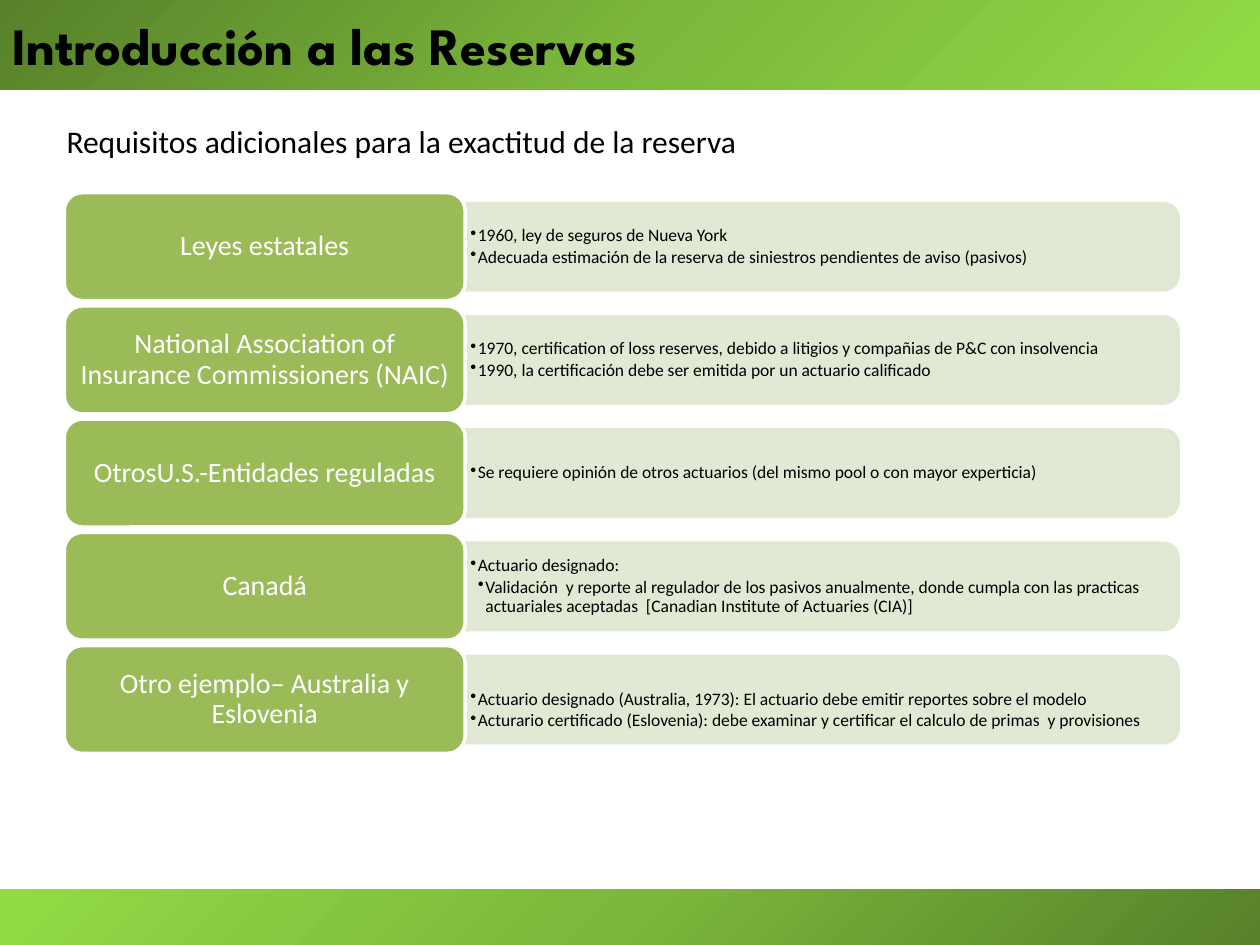
from lxml.etree import SubElement
from pptx import Presentation
from pptx.dml.color import RGBColor
from pptx.enum.shapes import MSO_SHAPE
from pptx.enum.text import MSO_ANCHOR, PP_ALIGN
from pptx.oxml import parse_xml
from pptx.oxml.ns import nsdecls, qn
from pptx.util import Inches, Pt

W, H = 10, 7.5
GREENS = [(0, '57812A'), (50, '7BB73B'), (100, '92DA46')]
LABEL, PANEL, WHITE, BLACK = '9BBB59', 'DEE7D1', 'FFFFFF', '000000'
LABEL_SHARE, PANEL_SHARE, GAP_SHARE = 0.36, 0.8, 0.05

ROWS = [
    ('Leyes estatales', 0, [
        (0, '1960, ley de seguros de Nueva York'),
        (0, 'Adecuada estimación de la reserva de siniestros pendientes de aviso (pasivos)')]),
    ('National Association of Insurance Commissioners (NAIC)', 0, [
        (0, '1970, certification of loss reserves, debido a litigios y compañias de P&C con insolvencia'),
        (0, '1990, la certificación debe ser emitida por un actuario calificado')]),
    ('OtrosU.S.-Entidades reguladas', 0, [
        (0, 'Se requiere opinión de otros actuarios (del mismo pool o con mayor experticia)')]),
    ('Canadá', 0, [
        (0, 'Actuario designado:'),
        (1, 'Validación  y reporte al regulador de los pasivos anualmente, donde cumpla con las '
            'practicas actuariales aceptadas  [Canadian Institute of Actuaries (CIA)]')]),
    ('Otro ejemplo– Australia y Eslovenia', 0.17, [
        (0, 'Actuario designado (Australia, 1973): El actuario debe emitir reportes sobre el modelo'),
        (0, 'Acturario certificado (Eslovenia): debe examinar y certificar el calculo de primas  '
            'y provisiones')]),
]


def rgb(color):
    return RGBColor.from_string(color)


def place(sp, x, y, w, h):
    sp.left, sp.top, sp.width, sp.height = (Inches(v) for v in (x, y, w, h))


def set_margins(tf, x, top, bottom):
    tf.margin_left = tf.margin_right = Inches(x)
    tf.margin_top, tf.margin_bottom = Inches(top), Inches(bottom)


def write(p, text, size, color, font='Calibri', bold=False):
    p.text = text
    for r in p.runs:
        r.font.size, r.font.name, r.font.bold = Pt(size), font, bold
        r.font.color.rgb = rgb(color)


def add_block(slide, kind, x, y, w, h, fill, line):
    sp = slide.shapes.add_shape(kind, *(Inches(v) for v in (x, y, w, h)))
    sp.shadow.inherit = False
    sp.fill.solid()
    sp.fill.fore_color.rgb = rgb(fill)
    sp.line.color.rgb = rgb(line)
    sp.line.width = Pt(2)
    return sp


def fill_gradient(sp, angle):
    stops = ''.join(f'<a:gs pos="{pos * 1000}"><a:srgbClr val="{color}"/></a:gs>'
                    for pos, color in GREENS)
    sp._element.spPr.append(parse_xml(
        f'<a:gradFill {nsdecls("a")} rotWithShape="1"><a:gsLst>{stops}</a:gsLst>'
        f'<a:lin ang="{angle * 60000}" scaled="0"/></a:gradFill>'))
    sp.line.fill.background()


def add_footer(slide, x, y, w, h):
    sp = slide.shapes.add_shape(MSO_SHAPE.RECTANGLE, *(Inches(v) for v in (x, y, w, h)))
    sp.shadow.inherit = False
    fill_gradient(sp, 225)


def add_header(slide, x, y, w, h):
    sp = slide.shapes.title
    place(sp, x, y, w, h)
    fill_gradient(sp, 45)
    tf = sp.text_frame
    tf.vertical_anchor = MSO_ANCHOR.MIDDLE
    write(tf.paragraphs[0], 'Introducción a las Reservas', 30, BLACK, 'League Spartan', True)
    tf.paragraphs[0].alignment = PP_ALIGN.LEFT


def add_subtitle(slide, x, y, w, h):
    tf = slide.shapes.add_textbox(*(Inches(v) for v in (x, y, w, h))).text_frame
    tf.word_wrap = True
    write(tf.paragraphs[0], 'Requisitos adicionales para la exactitud de la reserva', 18, BLACK)


def add_panel(slide, x, y, w, h):
    sp = add_block(slide, MSO_SHAPE.ROUND_2_SAME_RECTANGLE,
                   x + (w - h) / 2, y + (h - w) / 2, h, w, PANEL, PANEL)
    sp.rotation = 90
    for color in sp._element.spPr.iter(qn('a:srgbClr')):
        SubElement(color, qn('a:alpha')).set('val', '90000')


def add_bullets(slide, x, y, w, h, items, drop):
    tf = slide.shapes.add_textbox(*(Inches(v) for v in (x, y, w, h))).text_frame
    tf.word_wrap = True
    tf.vertical_anchor = MSO_ANCHOR.MIDDLE
    set_margins(tf, 0.04, 0.02 + drop, 0.02)
    for i, (level, text) in enumerate(items):
        p = tf.add_paragraph() if i else tf.paragraphs[0]
        write(p, text, 10, BLACK)
        p.level = level + 1
        p.line_spacing = 0.9
        p.space_after = Pt(1.5)
        pPr = p._p.get_or_add_pPr()
        pPr.set('marL', str(Inches(0.06 * (level + 1))))
        pPr.set('indent', str(Inches(-0.06)))
        SubElement(pPr, qn('a:buChar')).set('char', '•')


def add_label(slide, x, y, w, h, text):
    sp = add_block(slide, MSO_SHAPE.ROUNDED_RECTANGLE, x, y, w, h, LABEL, WHITE)
    tf = sp.text_frame
    tf.word_wrap = True
    tf.vertical_anchor = MSO_ANCHOR.MIDDLE
    set_margins(tf, 0.07, 0.03, 0.03)
    p = tf.paragraphs[0]
    write(p, text, 16, WHITE)
    p.alignment = PP_ALIGN.CENTER
    p.line_spacing = 0.9


def add_rows(slide, x, y, w, h):
    n = len(ROWS)
    row_h = h / (n + (n - 1) * GAP_SHARE)
    label_w, panel_h = w * LABEL_SHARE, row_h * PANEL_SHARE
    panel_w = w - label_w
    for i, (label, drop, items) in enumerate(ROWS):
        top = y + i * row_h * (1 + GAP_SHARE)
        panel_y = top + (row_h - panel_h) / 2
        add_panel(slide, x + label_w, panel_y, panel_w, panel_h)
        add_bullets(slide, x + label_w, panel_y + 0.03, panel_w - 0.04, panel_h - 0.06, items, drop)
        add_label(slide, x, top, label_w, row_h, label)


prs = Presentation()
prs.slide_width, prs.slide_height = Inches(W), Inches(H)
slide = prs.slides.add_slide(prs.slide_layouts[5])
add_footer(slide, 0, 7.06, W, 0.47)
add_header(slide, 0, 0, W, 0.71)
add_subtitle(slide, 0.43, 0.92, 7.09, 0.4)
add_rows(slide, 0.51, 1.53, 8.84, 4.45)
prs.save('out.pptx')
